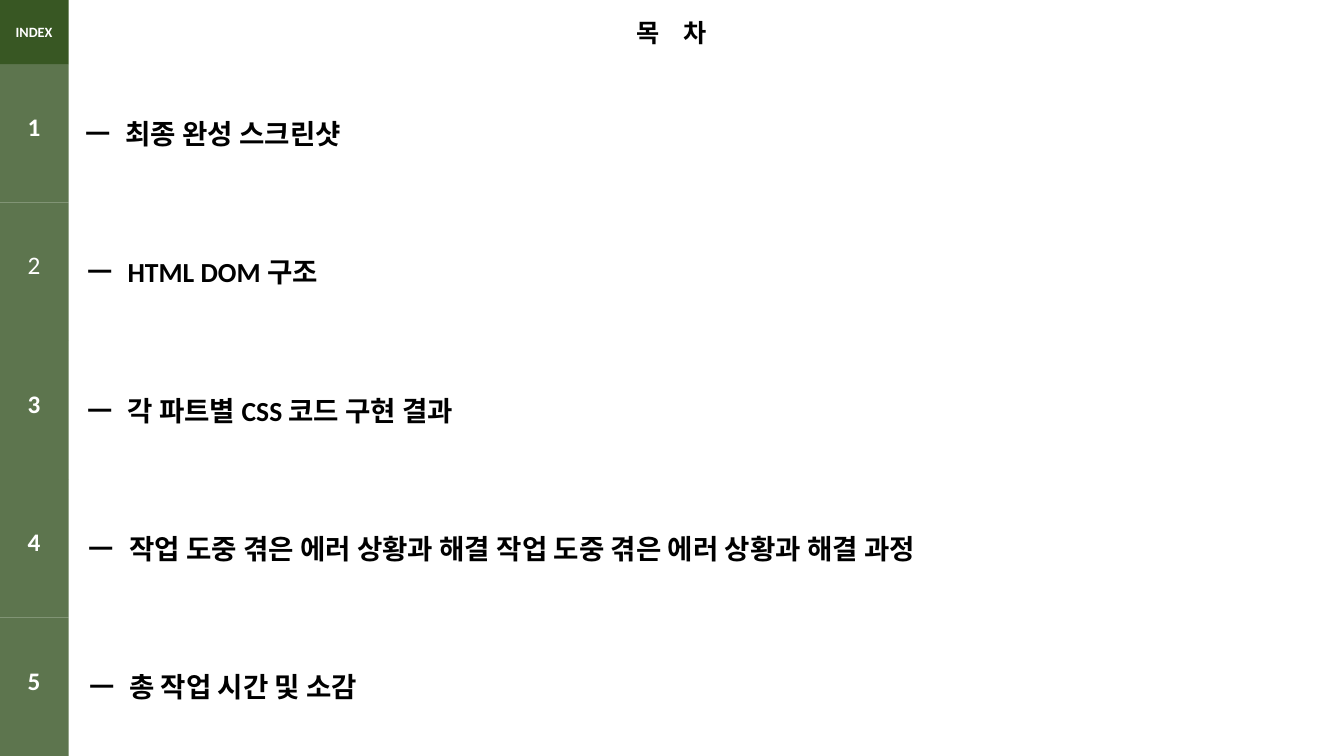
"""Build the table-of-contents slide with a numbered green index column."""
from pptx import Presentation
from pptx.dml.color import RGBColor
from pptx.enum.shapes import MSO_SHAPE as Shape
from pptx.enum.text import MSO_ANCHOR as Anchor, PP_ALIGN as Align
from pptx.util import Inches, Pt

WHITE = RGBColor(0xFF, 0xFF, 0xFF)
BLACK = RGBColor(0x00, 0x00, 0x00)
GREEN = RGBColor(0x5D, 0x75, 0x4E)
DARK_GREEN = RGBColor(0x38, 0x57, 0x23)

WIDTH, HEIGHT = 23.7, 13.33
EDGE = -0.01
HEADER_HEIGHT = 1.13
INDEX_WIDTH = 1.22
TEXT_INDENT = Inches(0.71)
TITLE_GAP = Pt(22)

ITEMS = [
    ("최종 완성 스크린샷", 1.19, 21.33),
    ("HTML DOM 구조", 1.23, 21.32),
    ("각 파트별 CSS 코드 구현 결과", 1.23, 21.31),
    ("작업 도중 겪은 에러 상황과 해결 작업 도중 겪은 에러 상황과 해결 과정", 1.26, 21.13),
    ("총 작업 시간 및 소감", 1.26, 21.31),
]
ROW_HEIGHT = (HEIGHT - HEADER_HEIGHT) / len(ITEMS)
REGULAR_NUMBER = 2


def style_run(run, size, color, bold=True):
    run.font.name = "Calibri"
    run.font.size = Pt(size)
    run.font.bold = bold
    run.font.color.rgb = color


def add_box(left, top, width, height, fill, text, size, color, align=Align.CENTER, bold=True):
    box = slide.shapes.add_shape(
        Shape.RECTANGLE, Inches(left), Inches(top), Inches(width), Inches(height))
    box.shadow.inherit = False
    box.fill.solid()
    box.fill.fore_color.rgb = fill
    box.line.fill.background()
    frame = box.text_frame
    frame.word_wrap = True
    frame.vertical_anchor = Anchor.MIDDLE
    paragraph = frame.paragraphs[0]
    paragraph.text = text
    paragraph.alignment = align
    style_run(paragraph.runs[0], size, color, bold)
    return frame


presentation = Presentation()
presentation.slide_width = Inches(WIDTH)
presentation.slide_height = Inches(HEIGHT)
slide = presentation.slides.add_slide(presentation.slide_layouts[6])

title = add_box(EDGE, 0, WIDTH - EDGE, HEADER_HEIGHT, WHITE, "목", 32, BLACK).paragraphs[0]
for part in (" ", "차"):
    run = title.add_run()
    run.text = part
    style_run(run, 32, BLACK)
title.runs[1].font._element.set("spc", str(int(TITLE_GAP.pt * 100)))

for row, (text, left, width) in enumerate(ITEMS):
    top = HEADER_HEIGHT + row * ROW_HEIGHT
    item = add_box(left, top, width, ROW_HEIGHT, WHITE, f"ㅡ\t{text}", 35, BLACK, Align.LEFT)
    item.margin_left = Inches(0.31)
    properties = item.paragraphs[0]._p.get_or_add_pPr()
    properties.set("marL", str(TEXT_INDENT))
    properties.set("indent", str(-TEXT_INDENT))

for row in range(len(ITEMS)):
    number = row + 1
    top = HEADER_HEIGHT + row * ROW_HEIGHT
    cell = add_box(EDGE, top, INDEX_WIDTH, ROW_HEIGHT, GREEN, str(number), 32, WHITE,
                   bold=number != REGULAR_NUMBER)
    cell.margin_bottom = Inches(0.29)

add_box(EDGE, 0, INDEX_WIDTH, HEADER_HEIGHT, DARK_GREEN, "INDEX", 18, WHITE)

presentation.save("out.pptx")
